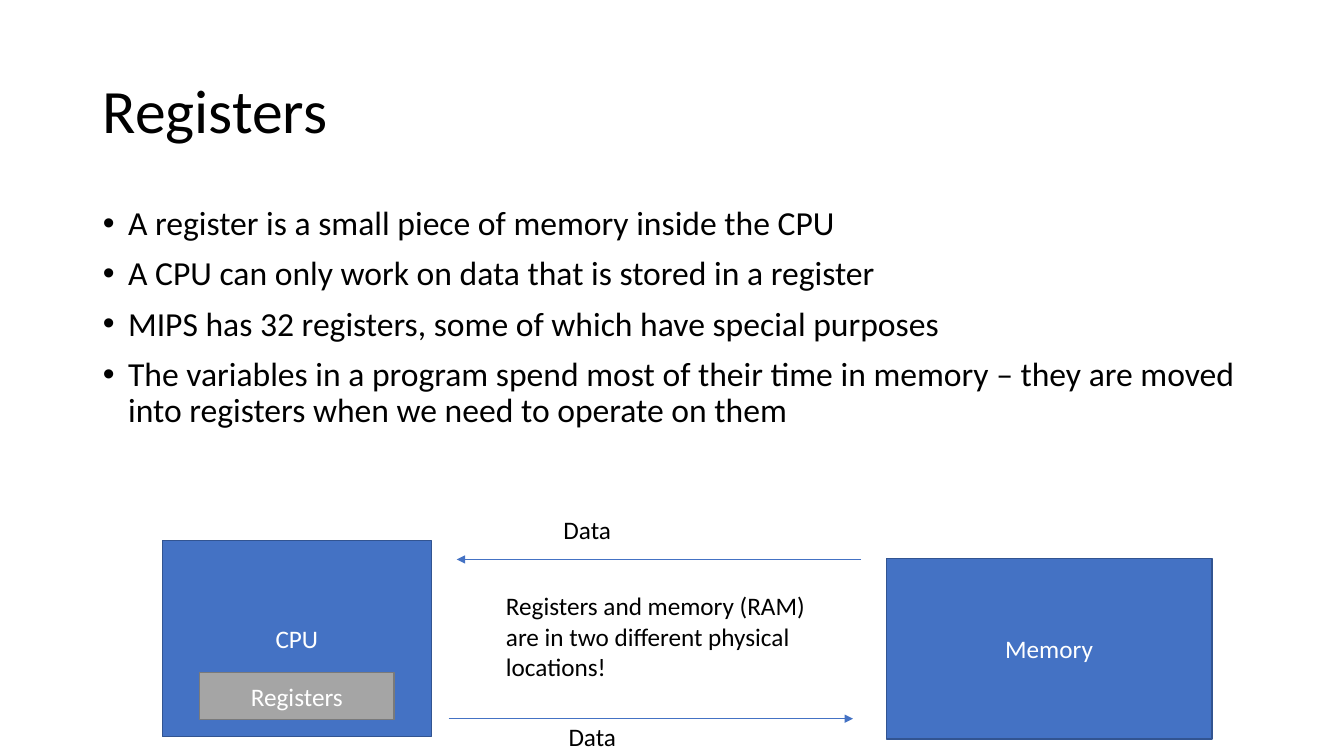
"""Build the slide on CPU registers and memory."""
from lxml import etree
from pptx import Presentation
from pptx.dml.color import RGBColor
from pptx.enum.shapes import MSO_CONNECTOR, MSO_SHAPE
from pptx.enum.text import MSO_ANCHOR, MSO_AUTO_SIZE, PP_ALIGN
from pptx.oxml.ns import qn
from pptx.util import Inches, Pt

BLACK = RGBColor(0x00, 0x00, 0x00)
WHITE = RGBColor(0xFF, 0xFF, 0xFF)
BLUE = RGBColor(0x44, 0x72, 0xC4)
DARK_BLUE = RGBColor(0x32, 0x54, 0x91)
GRAY = RGBColor(0xA5, 0xA5, 0xA5)
DARK_GRAY = RGBColor(0x7A, 0x7A, 0x7A)


class SlideBuilder:
    def __init__(self, slide, font="Calibri"):
        self.slide = slide
        self.font = font

    def fill_text(self, tf, lines, size=18, color=BLACK, anchor=MSO_ANCHOR.TOP, **formats):
        tf.word_wrap = True
        tf.auto_size = MSO_AUTO_SIZE.NONE
        tf.vertical_anchor = anchor
        for i, line in enumerate(lines):
            p = tf.add_paragraph() if i else tf.paragraphs[0]
            for name, value in formats.items():
                setattr(p, name, value)
            r = p.add_run()
            r.text = line
            for name, value in {"name": self.font, "size": Pt(size)}.items():
                setattr(r.font, name, value)
            r.font.color.rgb = color

    def place(self, sp, box):
        for name, value in zip(("left", "top", "width", "height"), box):
            setattr(sp, name, Inches(value))

    def title(self, box, text):
        sp = self.slide.shapes.title
        self.place(sp, box)
        self.fill_text(sp.text_frame, [text], 44, anchor=MSO_ANCHOR.MIDDLE,
                       alignment=PP_ALIGN.LEFT, line_spacing=0.9)

    def bullets(self, box, lines):
        sp = self.slide.placeholders[1]
        self.place(sp, box)
        self.fill_text(sp.text_frame, lines, 24, line_spacing=0.9, space_before=Pt(10))
        for p in sp.text_frame.paragraphs:
            pPr = p._p.get_or_add_pPr()
            pPr.set("marL", str(Inches(0.25)))
            pPr.set("indent", str(-Inches(0.25)))
            etree.SubElement(pPr, qn("a:buFont"), typeface="Arial")
            etree.SubElement(pPr, qn("a:buChar"), char="•")

    def block(self, box, text, fill, line):
        sp = self.slide.shapes.add_shape(MSO_SHAPE.RECTANGLE, *map(Inches, box))
        sp.shadow.inherit = False
        sp.fill.solid()
        sp.fill.fore_color.rgb = fill
        sp.line.color.rgb = line
        sp.line.width = Pt(1)
        self.fill_text(sp.text_frame, [text], color=WHITE, anchor=MSO_ANCHOR.MIDDLE,
                       alignment=PP_ALIGN.CENTER)

    def label(self, box, text):
        sp = self.slide.shapes.add_textbox(*map(Inches, box))
        self.fill_text(sp.text_frame, [text])

    def arrow(self, start, end, y):
        points = map(Inches, (start, y, end, y))
        sp = self.slide.shapes.add_connector(MSO_CONNECTOR.STRAIGHT, *points)
        sp.line.color.rgb = BLUE
        sp.line.width = Pt(0.5)
        etree.SubElement(sp.line._get_or_add_ln(), qn("a:tailEnd"), type="triangle")
        etree.SubElement(sp._element.spPr, qn("a:effectLst"))


prs = Presentation()
prs.slide_width, prs.slide_height = Inches(13.33), Inches(7.5)
builder = SlideBuilder(prs.slides.add_slide(prs.slide_layouts[1]))

builder.title((0.92, 0.4, 11.5, 1.45), "Registers")
builder.bullets((0.92, 2, 11.5, 5.5), [
    "A register is a small piece of memory inside the CPU",
    "A CPU can only work on data that is stored in a register",
    "MIPS has 32 registers, some of which have special purposes",
    "The variables in a program spend most of their time in memory – "
    "they are moved into registers when we need to operate on them",
])

builder.block((1.61, 5.36, 2.67, 1.95), "CPU", BLUE, DARK_BLUE)
builder.block((1.98, 6.67, 1.93, 0.47), "Registers", GRAY, DARK_GRAY)
builder.block((8.79, 5.54, 3.23, 1.79), "Memory", BLUE, DARK_BLUE)
builder.label((4.92, 5.81, 3.23, 1.01),
              "Registers and memory (RAM) are in two different physical locations!")
builder.arrow(8.54, 4.53, 5.55)
builder.label((5.49, 5.05, 1.91, 0.4), "Data")
builder.arrow(4.45, 8.46, 7.13)
builder.label((5.54, 7.11, 1.98, 0.4), "Data")

prs.save("out.pptx")
